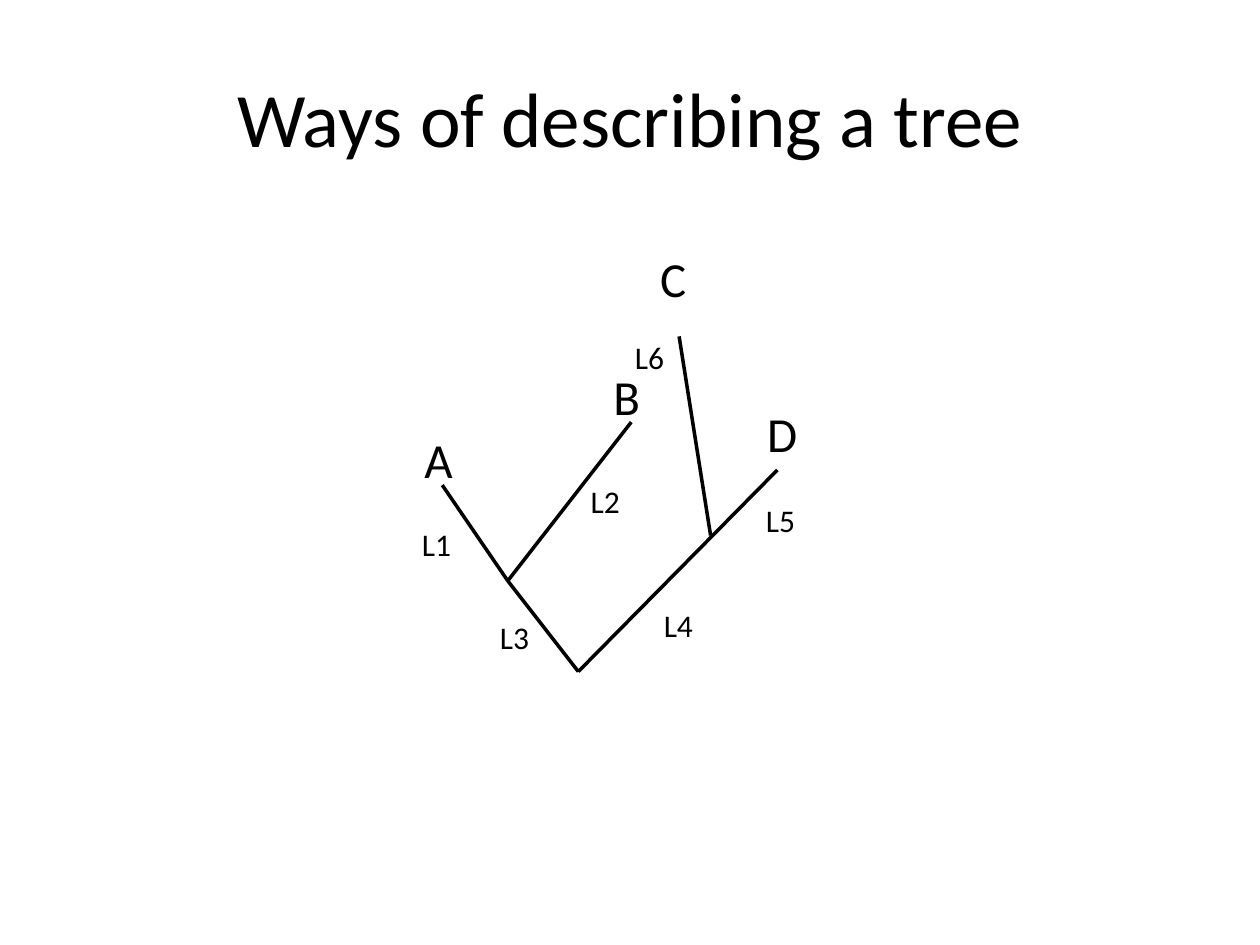
from dataclasses import dataclass

from lxml.etree import SubElement
from pptx import Presentation
from pptx.dml.color import RGBColor
from pptx.enum.shapes import MSO_CONNECTOR
from pptx.enum.text import MSO_ANCHOR, MSO_AUTO_SIZE, PP_ALIGN
from pptx.oxml.ns import qn
from pptx.slide import Slide
from pptx.util import Inches, Pt

COLUMNS, ROWS = 100, 75
WIDTH, HEIGHT = Inches(10), Inches(7.5)


def color(code):
    return RGBColor.from_string(code)


def place(column, row):
    """Turn a grid position or extent into slide lengths."""
    return int(WIDTH * column / COLUMNS), int(HEIGHT * row / ROWS)


def write(frame, words, *, font, size, ink, align=PP_ALIGN.LEFT):
    paragraph = frame.paragraphs[0]
    paragraph.alignment = align
    run = paragraph.add_run()
    run.text = words
    run.font.name = font
    run.font.size = Pt(size)
    run.font.color.rgb = color(ink)


@dataclass
class TreeSlide:
    slide: Slide
    font: str = "Calibri"
    ink: str = "000000"
    branch_width: float = 2

    def title(self, words, corner, extent):
        heading = self.slide.shapes.add_textbox(*place(*corner), *place(*extent))
        frame = heading.text_frame
        frame.word_wrap = True
        frame.vertical_anchor = MSO_ANCHOR.MIDDLE
        write(frame, words, font=self.font, size=44, ink=self.ink, align=PP_ALIGN.CENTER)

    def label(self, words, corner, extent, size):
        tag = self.slide.shapes.add_textbox(*place(*corner), *place(*extent))
        frame = tag.text_frame
        frame.word_wrap = False
        frame.auto_size = MSO_AUTO_SIZE.SHAPE_TO_FIT_TEXT
        write(frame, words, font=self.font, size=size, ink=self.ink)

    def branch(self, start, end):
        line = self.slide.shapes.add_connector(
            MSO_CONNECTOR.STRAIGHT, *place(*start), *place(*end))
        line.line.color.rgb = color(self.ink)
        line.line.width = Pt(self.branch_width)
        SubElement(line._element.spPr, qn("a:effectLst"))


def main():
    deck = Presentation()
    deck.slide_width, deck.slide_height = WIDTH, HEIGHT
    tree = TreeSlide(deck.slides.add_slide(deck.slide_layouts[6]))

    tree.title("Ways of describing a tree", (5, 3), (90, 12.5))

    left_node, right_node, root = (40.3, 46.1), (56.4, 42.5), (45.9, 53.3)
    tip_a, tip_b, tip_c, tip_d = (35.1, 38.5), (50.1, 33.5), (53.9, 26.7), (61.7, 37.3)
    for start, end in [
        (tip_a, left_node),
        (tip_b, left_node),
        (left_node, root),
        (root, tip_d),
        (tip_c, right_node),
    ]:
        tree.branch(start, end)

    leaves = {
        "A": (32.7, 33.6, 4.3),
        "B": (47.7, 28.6, 4.2),
        "C": (51.4, 19.2, 4.1),
        "D": (59.9, 31.5, 4.4),
    }
    for name, (column, row, width) in leaves.items():
        tree.label(name, (column, row), (width, 5.7), size=28)

    branch_lengths = [
        (32.5, 41.2), (45.9, 37.8), (38.7, 48.6),
        (51.7, 47.6), (59.8, 39.3), (49.4, 26.3),
    ]
    for number, corner in enumerate(branch_lengths, start=1):
        tree.label(f"L{number}", corner, (4.4, 4), size=18)

    deck.save("out.pptx")


if __name__ == "__main__":
    main()
